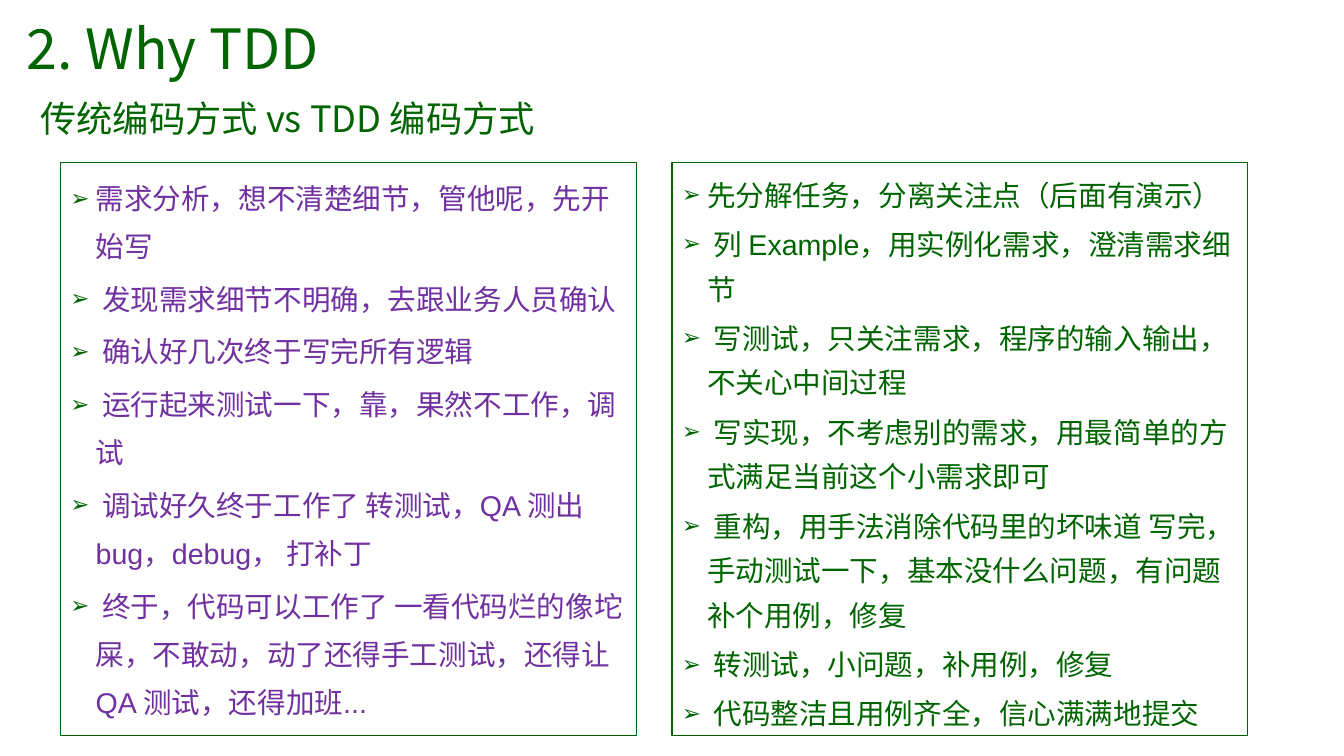
from lxml.etree import SubElement
from pptx import Presentation
from pptx.dml.color import RGBColor
from pptx.enum.shapes import MSO_SHAPE
from pptx.enum.text import MSO_ANCHOR, PP_ALIGN
from pptx.oxml.ns import qn
from pptx.util import Inches, Pt

THEME = {
    "green": "006400",
    "purple": "7030A0",
    "heading_font": "Noto Sans CJK SC",
    "body_font": "Arial",
    "title_size": 39.6,
    "subtitle_size": 25.9,
    "body_size": 20.4,
}

presentation = Presentation()
presentation.slide_width = Inches(13.33)
presentation.slide_height = Inches(7.5)
slide = presentation.slides.add_slide(presentation.slide_layouts[6])
COLUMN = presentation.slide_width / 100
ROW = presentation.slide_height / 100


def set_type(paragraph, font_name, size, color, line_spacing):
    paragraph.alignment = PP_ALIGN.LEFT
    paragraph.line_spacing = line_spacing
    paragraph.font.name = font_name
    paragraph.font.size = Pt(size)
    paragraph.font.color.rgb = RGBColor.from_string(color)


def add_arrow_bullet(paragraph):
    """Give the paragraph a hanging green arrowhead at 80 % of the text size."""
    properties = paragraph._p.get_or_add_pPr()
    properties.set("marL", str(Inches(0.25)))
    properties.set("indent", str(-Inches(0.25)))
    bullet_color = SubElement(properties, qn("a:buClr"))
    SubElement(bullet_color, qn("a:srgbClr"), val=THEME["green"])
    SubElement(properties, qn("a:buSzPct"), val="80000")
    SubElement(properties, qn("a:buFont"), typeface=THEME["body_font"])
    SubElement(properties, qn("a:buChar"), char="➢")


# Headings: wording, left, top, width, height, size, line spacing, anchor
headings = [
    ("2. Why TDD", 1.27, 2.53, 86.27, 8.67,
     THEME["title_size"], 0.9, MSO_ANCHOR.MIDDLE),
    ("传统编码方式 vs TDD 编码方式", 2.25, 13.2, 62.34, 6.27,
     THEME["subtitle_size"], 0.8, MSO_ANCHOR.TOP),
]
for wording, left, top, width, height, size, spacing, anchor in headings:
    heading = slide.shapes.add_textbox(
        int(left * COLUMN), int(top * ROW), int(width * COLUMN), int(height * ROW))
    heading.text_frame.word_wrap = True
    heading.text_frame.vertical_anchor = anchor
    heading.text_frame.text = wording
    set_type(heading.text_frame.paragraphs[0], THEME["heading_font"], size,
             THEME["green"], spacing)

traditional_steps = [
    "需求分析，想不清楚细节，管他呢，先开始写",
    " 发现需求细节不明确，去跟业务人员确认",
    " 确认好几次终于写完所有逻辑",
    " 运行起来测试一下，靠，果然不工作，调试",
    " 调试好久终于工作了 转测试，QA 测出 bug，debug， 打补丁",
    " 终于，代码可以工作了 一看代码烂的像坨屎，不敢动，动了还得手工测试，还得让 QA 测试，还得加班...",
]
tdd_steps = [
    "先分解任务，分离关注点（后面有演示）",
    " 列 Example，用实例化需求，澄清需求细节",
    " 写测试，只关注需求，程序的输入输出，不关心中间过程",
    " 写实现，不考虑别的需求，用最简单的方式满足当前这个小需求即可",
    " 重构，用手法消除代码里的坏味道 写完，手动测试一下，基本没什么问题，有问题补个用例，修复",
    " 转测试，小问题，补用例，修复",
    " 代码整洁且用例齐全，信心满满地提交",
]

# Two equal panels side by side: left, steps, text colour, line spacing
panels = [
    (4.5, traditional_steps, THEME["purple"], 1.4),
    (50, tdd_steps, THEME["green"], 1.3),
]
for left, steps, color, spacing in panels:
    panel = slide.shapes.add_shape(
        MSO_SHAPE.RECTANGLE, int(left * COLUMN), int(21.47 * ROW),
        int(42.83 * COLUMN), int(75.87 * ROW))
    panel.shadow.inherit = False
    panel.fill.background()
    panel.line.color.rgb = RGBColor.from_string(THEME["green"])
    panel.line.width = Pt(0.75)
    frame = panel.text_frame
    frame.word_wrap = True
    frame.vertical_anchor = MSO_ANCHOR.TOP
    frame.text = "\n".join(steps)
    for paragraph in frame.paragraphs:
        add_arrow_bullet(paragraph)
        paragraph.space_after = Pt(3.4)
        set_type(paragraph, THEME["body_font"], THEME["body_size"], color, spacing)

presentation.save("out.pptx")
